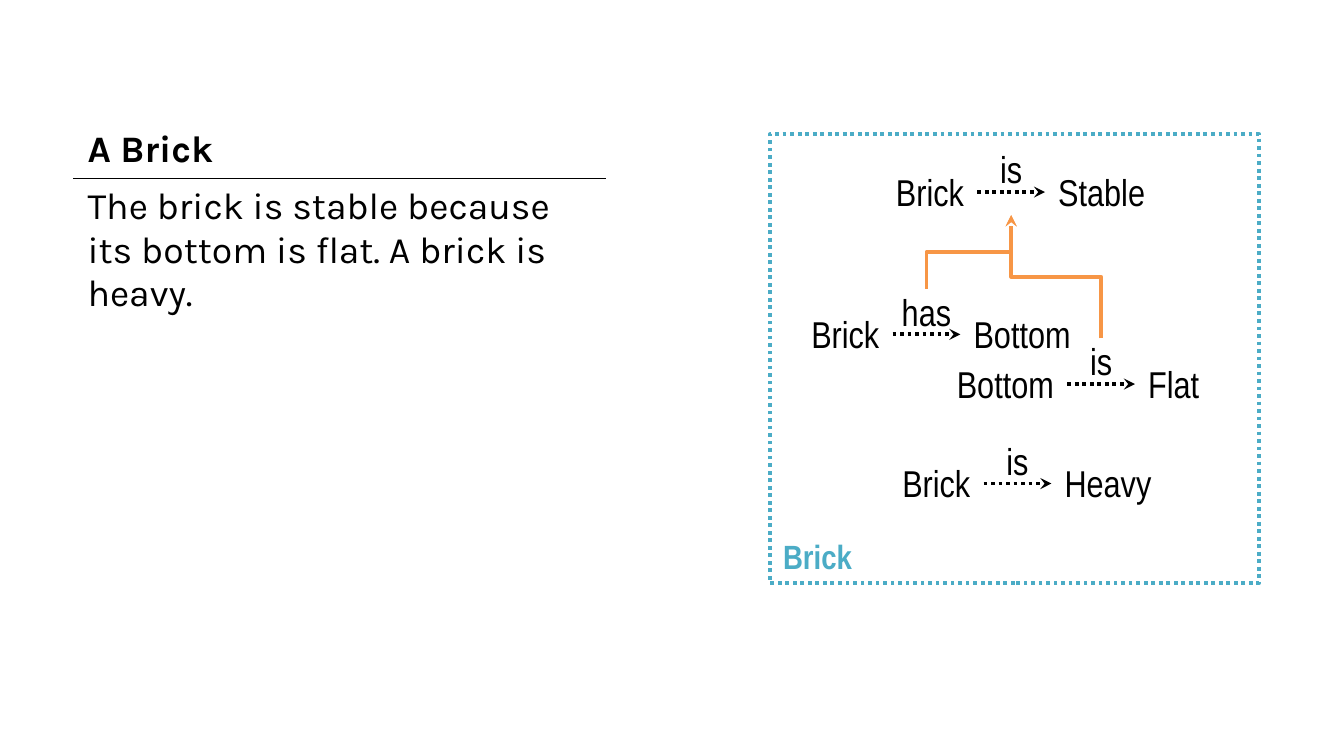
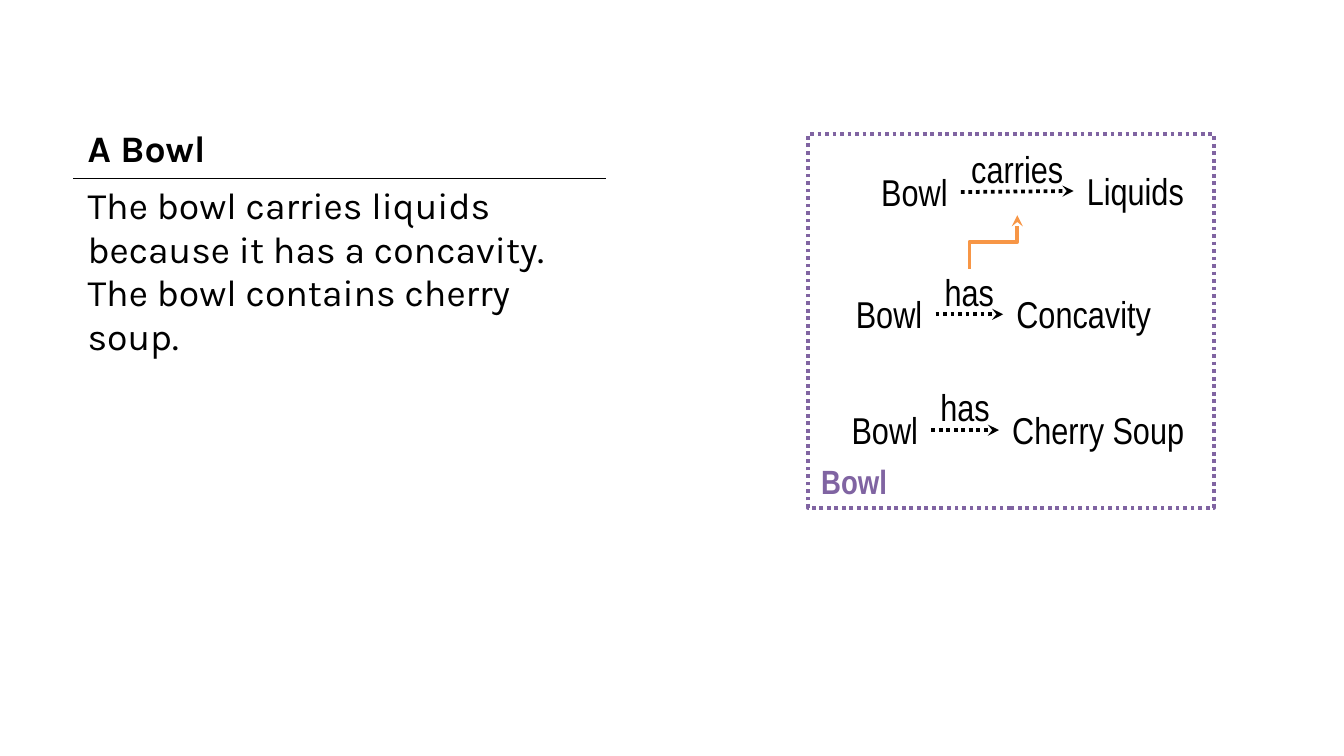
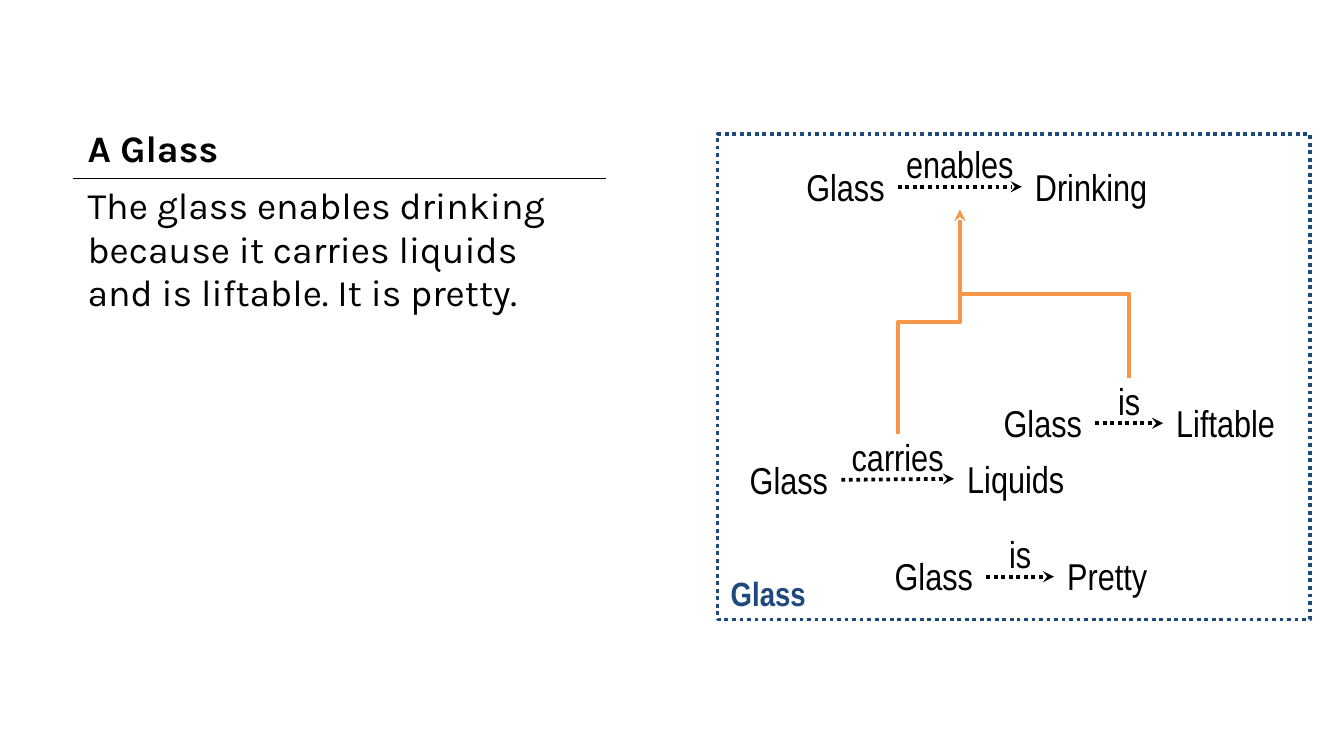
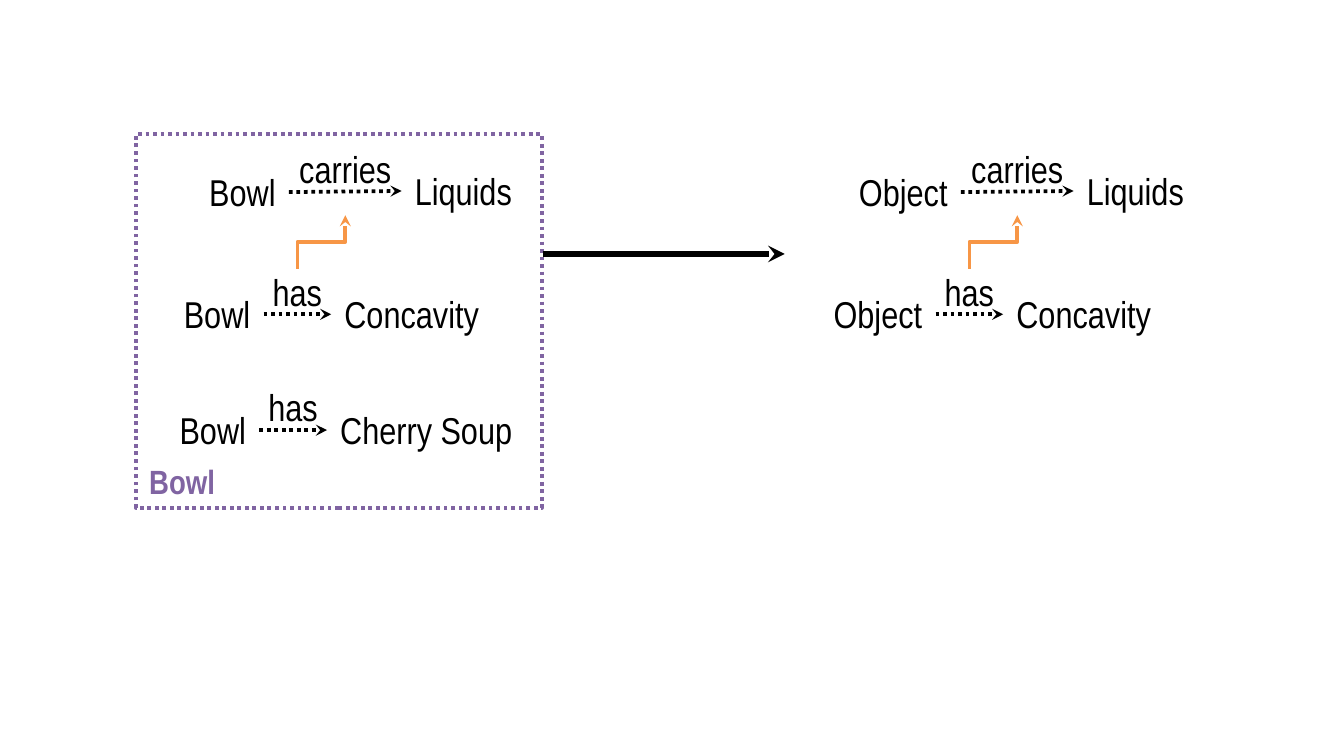
from lxml.etree import SubElement
from pptx import Presentation
from pptx.dml.color import RGBColor
from pptx.enum.dml import MSO_LINE
from pptx.enum.shapes import MSO_CONNECTOR, MSO_SHAPE
from pptx.enum.text import MSO_ANCHOR, MSO_AUTO_SIZE, PP_ALIGN
from pptx.oxml.ns import qn
from pptx.util import Cm, Pt

# Content: relations are (arrow start x, arrow y, subject, verb, object), in cm.
# The reasons point to the claim; the remark stands alone.
BRICK = {
    "title": "A Brick",
    "story": "The brick is stable because its bottom is flat. A brick is heavy.",
    "claim": (18.47, 3.63, "Brick", "is", "Stable"),
    "reasons": [(16.87, 6.32, "Brick", "has", "Bottom"),
                (20.17, 7.26, "Bottom", "is", "Flat")],
    "remark": (18.59, 9.14, "Brick", "is", "Heavy"),
    "frame": (14.55, 2.54, 9.25, 8.48),
    "color": "4BACC6",
}
BOWL = {
    "title": "A Bowl",
    "story": "The bowl carries liquids because it has a concavity. "
             "The bowl contains cherry soup.",
    "claim": (18.16, 3.63, "Bowl", "carries", "Liquids"),
    "reasons": [(17.68, 5.94, "Bowl", "has", "Concavity")],
    "remark": (17.6, 8.13, "Bowl", "has", "Cherry Soup"),
    "frame": (15.27, 2.54, 7.67, 7.06),
    "color": "8064A2",
}
GLASS = {
    "title": "A Glass",
    "story": "The glass enables drinking because it carries liquids "
             "and is liftable. It is pretty.",
    "claim": (16.97, 3.53, "Glass", "enables", "Drinking"),
    "reasons": [(15.9, 9.07, "Glass", "carries", "Liquids"),
                (20.7, 8, "Glass", "is", "Liftable")],
    "remark": (18.64, 10.9, "Glass", "is", "Pretty"),
    "frame": (13.56, 2.54, 11.2, 9.17),
    "color": "1F497D",
}
GENERAL_RULE = {
    "claim": (18.16, 3.63, "Object", "carries", "Liquids"),
    "reasons": [(17.68, 5.94, "Object", "has", "Concavity")],
}
BOWL_SHIFT = -12.7
GENERALIZE_ARROW = (10.26, 4.8, 14.83, 4.8)

# Shared measures, in cm
SUBJECT_WIDTH = {"Bottom": 2.92}
DEFAULT_SUBJECT_WIDTH = 2.67
OBJECT_WIDTH = {"Stable": 2.87, "Bottom": 2.87, "Heavy": 2.87, "Flat": 1.8,
                "Liquids": 2.67, "Concavity": 3.63, "Cherry Soup": 4.37,
                "Drinking": 3.2, "Liftable": 2.77, "Pretty": 2.77}
VERB_WIDTH = {"is": 1.28, "has": 1.28, "carries": 2.13, "enables": 2.34}
VERB_RISE = {"carries": 0.02}
WORD_HEIGHT = 1.12
VERB_ABOVE, VERB_HEIGHT = 0.86, 1.3
TABLE_BOX = (1.4, 2.29, 10.03, 2.08)

# Shared formats
BLACK, ORANGE = "000000", "F79646"
WORD_FONT = {"name": "Arial Narrow", "size": Pt(20), "bold": False}
FRAME_FONT = {"name": "Arial Narrow", "size": Pt(18), "bold": True}
TITLE_FONT = {"name": "Karla", "size": Pt(20), "bold": True}
STORY_FONT = {"name": "Karla", "size": Pt(20), "bold": False}
NO_MARGINS = {f"margin_{side}": 0 for side in ("left", "top", "right", "bottom")}


def rgb(color):
    return RGBColor.from_string(color)


def set_all(target, values):
    for name, value in values.items():
        setattr(target, name, value)


def write(frame, text, font, color=BLACK, align=PP_ALIGN.LEFT, **layout):
    set_all(frame, layout)
    paragraph = frame.paragraphs[0]
    paragraph.alignment = align
    run = paragraph.add_run()
    run.text = text
    set_all(run.font, font)
    run.font.color.rgb = rgb(color)


def add_text(slide, box, text, align, **layout):
    shape = slide.shapes.add_textbox(*map(Cm, box))
    write(shape.text_frame, text, WORD_FONT, align=align, word_wrap=True, **layout)
    return shape


def add_arrow(slide, points, color=BLACK, width=2, dash=None, kind=MSO_CONNECTOR.STRAIGHT):
    arrow = slide.shapes.add_connector(kind, *map(Cm, points))
    set_all(arrow.line, {"width": Pt(width), "dash_style": dash})
    arrow.line.color.rgb = rgb(color)
    SubElement(arrow.line._get_or_add_ln(), qn("a:tailEnd"), type="stealth")
    SubElement(arrow._element.spPr, qn("a:effectLst"))
    return arrow


# Subject, dotted arrow with its verb, object
def add_relation(slide, relation, shift):
    x, y, subject, verb, thing = relation
    x += shift
    length, rise = VERB_WIDTH[verb], VERB_RISE.get(verb, 0)
    width = SUBJECT_WIDTH.get(subject, DEFAULT_SUBJECT_WIDTH)
    top = y - WORD_HEIGHT / 2
    grow = MSO_AUTO_SIZE.SHAPE_TO_FIT_TEXT
    subject_box = add_text(slide, (x - width, top, width, WORD_HEIGHT),
                           subject, PP_ALIGN.RIGHT, auto_size=grow)
    object_box = add_text(slide, (x + length, top - rise, OBJECT_WIDTH[thing], WORD_HEIGHT),
                          thing, PP_ALIGN.LEFT, auto_size=grow)
    arrow = add_arrow(slide, (x, y, x + length, y - rise), dash=MSO_LINE.ROUND_DOT)
    arrow.begin_connect(subject_box, 3)
    arrow.end_connect(object_box, 1)
    add_text(slide, (x, y - VERB_ABOVE, length, VERB_HEIGHT), verb,
             PP_ALIGN.CENTER, **NO_MARGINS)


# Elbow from the top of the reason's verb to the bottom of the claim's verb
def add_because(slide, reason, claim, shift):
    start_x, end_x = (x + VERB_WIDTH[verb] / 2 + shift
                      for x, _, _, verb, _ in (reason, claim))
    start_y = reason[1] - VERB_ABOVE
    end_y = claim[1] - VERB_ABOVE + VERB_HEIGHT
    middle_x, middle_y = (start_x + end_x) / 2, (start_y + end_y) / 2
    half_width, half_height = (start_y - end_y) / 2, abs(end_x - start_x) / 2
    side, turn = (1, 90) if end_x > start_x else (-1, 270)
    elbow = add_arrow(slide, (middle_x + side * half_width, middle_y + half_height,
                              middle_x - side * half_width, middle_y - half_height),
                      ORANGE, kind=MSO_CONNECTOR.ELBOW)
    elbow._element.spPr.find(qn("a:xfrm")).set("rot", str(turn * 60000))


def add_frame(slide, diagram, shift):
    left, top, width, height = diagram["frame"]
    shape = slide.shapes.add_shape(MSO_SHAPE.RECTANGLE, Cm(left + shift), Cm(top),
                                   Cm(width), Cm(height))
    shape.shadow.inherit = False
    shape.fill.background()
    set_all(shape.line, {"width": Pt(2), "dash_style": MSO_LINE.ROUND_DOT})
    shape.line.color.rgb = rgb(diagram["color"])
    write(shape.text_frame, diagram["claim"][2], FRAME_FONT, diagram["color"],
          vertical_anchor=MSO_ANCHOR.BOTTOM)


def add_diagram(slide, diagram, shift=0):
    claim, reasons = diagram["claim"], diagram["reasons"]
    for relation in [claim, *reasons]:
        add_relation(slide, relation, shift)
    for reason in reasons:
        add_because(slide, reason, claim, shift)
    if "frame" in diagram:
        add_frame(slide, diagram, shift)
        add_relation(slide, diagram["remark"], shift)


# Title over story, parted by one rule
def add_story(slide, diagram):
    table = slide.shapes.add_table(2, 1, *map(Cm, TABLE_BOX)).table
    set_all(table, {"first_row": False, "horz_banding": False})
    rows = [("title", TITLE_FONT, "a:lnB"), ("story", STORY_FONT, "a:lnT")]
    for row, (key, font, edge) in enumerate(rows):
        cell = table.cell(row, 0)
        write(cell.text_frame, diagram[key], font)
        border = SubElement(cell._tc.get_or_add_tcPr(), qn(edge), w=str(Pt(1)))
        fill = SubElement(border, qn("a:solidFill"))
        SubElement(fill, qn("a:srgbClr"), val=BLACK)
        cell.fill.background()


def main():
    presentation = Presentation()
    set_all(presentation, {"slide_width": Cm(25.4), "slide_height": Cm(14.29)})
    blank = presentation.slide_layouts[6]

    # One slide for each thing
    for diagram in (BRICK, BOWL, GLASS):
        slide = presentation.slides.add_slide(blank)
        add_story(slide, diagram)
        add_diagram(slide, diagram)

    # From the bowl to any object
    slide = presentation.slides.add_slide(blank)
    add_diagram(slide, BOWL, BOWL_SHIFT)
    add_diagram(slide, GENERAL_RULE)
    add_arrow(slide, GENERALIZE_ARROW, width=3)

    presentation.save("out.pptx")


if __name__ == "__main__":
    main()
